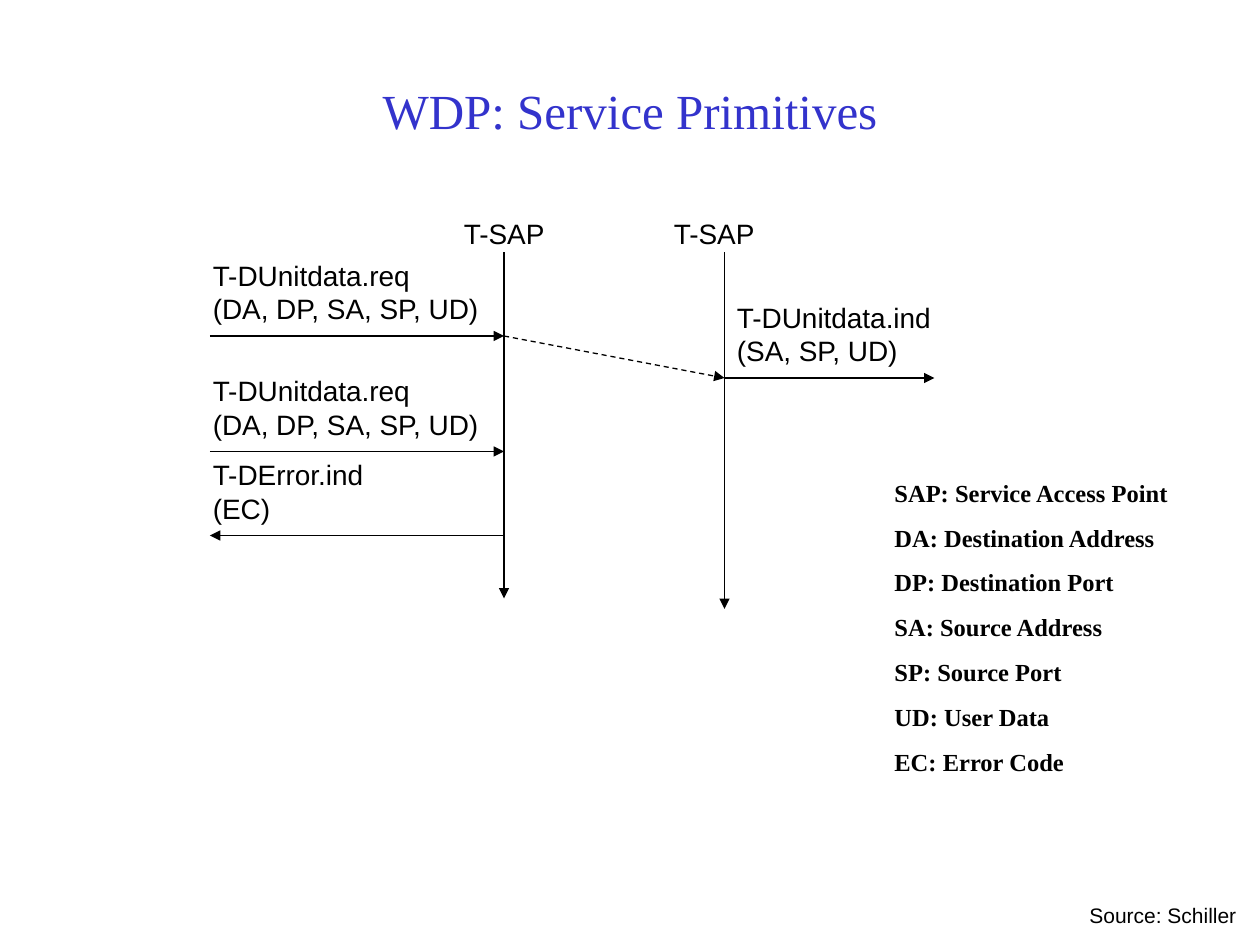
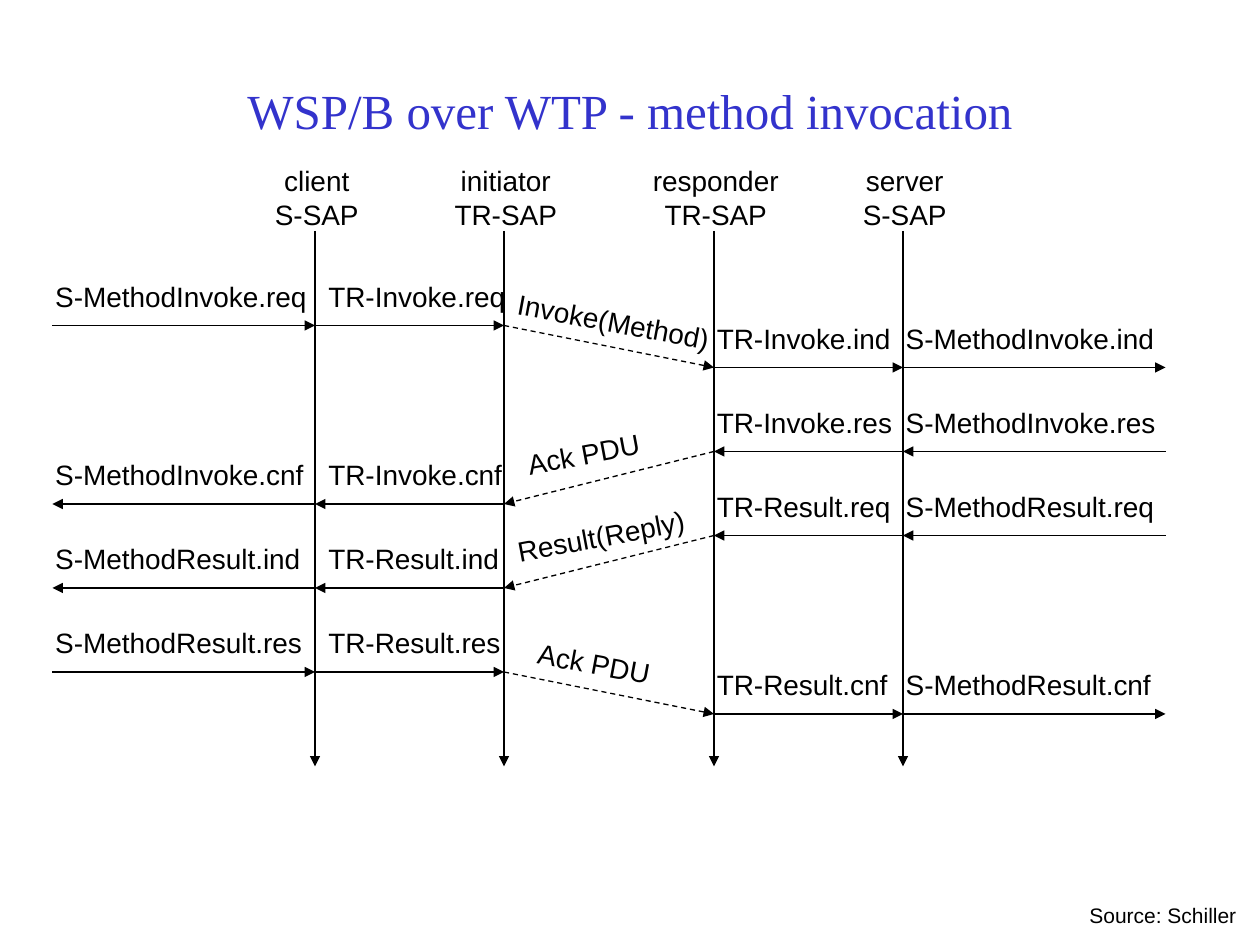
import pptx
import pptx.dml.color
import pptx.enum.dml
import pptx.enum.shapes
import pptx.enum.text
import pptx.oxml
import pptx.oxml.ns
import pptx.util

COLORS = {"title": "3333CC", "ink": "000000"}
TITLE_FONT = "Times New Roman"
LABEL_FONT = "Arial"
LEFT = pptx.enum.text.PP_ALIGN.LEFT
CENTER = pptx.enum.text.PP_ALIGN.CENTER


def add_text(frame, paragraphs, size=16, font=LABEL_FONT, color="ink", bold=False,
             align=LEFT, space_before=0):
    """Fill a text frame; a newline inside a paragraph becomes a line break."""
    frame.word_wrap = True
    for index, text in enumerate(paragraphs):
        paragraph = frame.add_paragraph() if index else frame.paragraphs[0]
        paragraph.alignment = align
        if index and space_before:
            paragraph.space_before = pptx.util.Pt(space_before)
        for line_index, line in enumerate(text.split("\n")):
            if line_index:
                paragraph.add_line_break()
            run = paragraph.add_run()
            run.text = line
            run.font.size = pptx.util.Pt(size)
            run.font.name = font
            run.font.bold = bold
            run.font.color.rgb = pptx.dml.color.RGBColor.from_string(COLORS[color])


def add_arrow(slide, start_x, start_y, end_x, end_y, dashed=False):
    """Draw a thin line with an arrowhead at its end."""
    arrow = slide.shapes.add_connector(
        pptx.enum.shapes.MSO_CONNECTOR.STRAIGHT,
        *[pptx.util.Pt(value) for value in (start_x, start_y, end_x, end_y)])
    arrow.line.width = pptx.util.Pt(0.75)
    arrow.line.color.rgb = pptx.dml.color.RGBColor.from_string(COLORS["ink"])
    if dashed:
        arrow.line.dash_style = pptx.enum.dml.MSO_LINE.DASH
    namespace = pptx.oxml.ns.nsdecls("a")
    arrow.line._get_or_add_ln().append(
        pptx.oxml.parse_xml(f'<a:tailEnd {namespace} type="triangle"/>'))
    arrow._element.spPr.append(pptx.oxml.parse_xml(f"<a:effectLst {namespace}/>"))


presentation = pptx.Presentation()
presentation.slide_width = pptx.util.Pt(720)
presentation.slide_height = pptx.util.Pt(540)

# Shared parts: title and source line
slides = []
for title_text, title_top, title_height in [
        ("WDP: Service Primitives", 30, 66),
        ("WSP/B over WTP - method invocation", 18, 90)]:
    slide = presentation.slides.add_slide(presentation.slide_layouts[5])
    title = slide.shapes.title
    title.left, title.top = pptx.util.Pt(54), pptx.util.Pt(title_top)
    title.width, title.height = pptx.util.Pt(612), pptx.util.Pt(title_height)
    title.text_frame.vertical_anchor = pptx.enum.text.MSO_ANCHOR.MIDDLE
    add_text(title.text_frame, [title_text], 28, TITLE_FONT, "title", align=CENTER)
    source = slide.shapes.add_textbox(
        pptx.util.Pt(615.5), pptx.util.Pt(512), pptx.util.Pt(100), pptx.util.Pt(22))
    add_text(source.text_frame, ["Source: Schiller"], 12)
    slides.append(slide)
primitives_slide, invocation_slide = slides

# Slide 1: lifelines of the two access points
for lifeline_x, lifeline_end, label_left in [(288, 342, 258), (414, 348, 378)]:
    add_arrow(primitives_slide, lifeline_x, 144, lifeline_x, lifeline_end)
    label = primitives_slide.shapes.add_textbox(
        pptx.util.Pt(label_left), pptx.util.Pt(120), pptx.util.Pt(64), pptx.util.Pt(26.5))
    add_text(label.text_frame, ["T-SAP"])

# Slide 1: primitives, each label standing above its arrow
for text, start_x, end_x, arrow_y, label_left in [
        ("T-DUnitdata.req\n(DA, DP, SA, SP, UD)", 120, 288, 192, 114.5),
        ("T-DUnitdata.ind\n(SA, SP, UD)", 414, 534, 216, 414),
        ("T-DUnitdata.req\n(DA, DP, SA, SP, UD)", 120, 288, 258, 114.5),
        ("T-DError.ind\n(EC)", 288, 120, 306, 114.5)]:
    add_arrow(primitives_slide, start_x, arrow_y, end_x, arrow_y)
    label = primitives_slide.shapes.add_textbox(
        pptx.util.Pt(label_left), pptx.util.Pt(arrow_y - 48),
        pptx.util.Pt(178), pptx.util.Pt(46))
    add_text(label.text_frame, [text])
add_arrow(primitives_slide, 288, 192, 414, 216, dashed=True)

# Slide 1: abbreviations
abbreviations = primitives_slide.shapes.add_textbox(
    pptx.util.Pt(504), pptx.util.Pt(269.5), pptx.util.Pt(192), pptx.util.Pt(178))
add_text(abbreviations.text_frame, [
    "SAP: Service Access Point",
    "DA: Destination Address",
    "DP: Destination Port",
    "SA: Source Address",
    "SP: Source Port",
    "UD: User Data",
    "EC: Error Code",
], 14, TITLE_FONT, bold=True, space_before=8.8)

# Slide 2: lifelines
CLIENT, INITIATOR, RESPONDER, SERVER = 180, 288, 408, 516
for lifeline_x, role, access_point in [
        (CLIENT, "client", "S-SAP"), (INITIATOR, "initiator", "TR-SAP"),
        (RESPONDER, "responder", "TR-SAP"), (SERVER, "server", "S-SAP")]:
    add_arrow(invocation_slide, lifeline_x, 132, lifeline_x, 438)
    label = invocation_slide.shapes.add_textbox(
        pptx.util.Pt(lifeline_x - 44), pptx.util.Pt(90), pptx.util.Pt(90), pptx.util.Pt(46))
    add_text(label.text_frame, [role, access_point], align=CENTER)

# Slide 2: primitives, two per row: (left end, right end, label left, label width)
client_side = [(30, CLIENT, 24.5, 160), (CLIENT, INITIATOR, 180.5, 118)]
server_side = [(RESPONDER, SERVER, 402.5, 118), (SERVER, 666, 510.5, 160)]
for side, arrow_y, rightward, texts in [
        (client_side, 186, True, ["S-MethodInvoke.req", "TR-Invoke.req"]),
        (server_side, 210, True, ["TR-Invoke.ind", "S-MethodInvoke.ind"]),
        (server_side, 258, False, ["TR-Invoke.res", "S-MethodInvoke.res"]),
        (client_side, 288, False, ["S-MethodInvoke.cnf", "TR-Invoke.cnf"]),
        (server_side, 306, False, ["TR-Result.req", "S-MethodResult.req"]),
        (client_side, 336, False, ["S-MethodResult.ind", "TR-Result.ind"]),
        (client_side, 384, True, ["S-MethodResult.res", "TR-Result.res"]),
        (server_side, 408, True, ["TR-Result.cnf", "S-MethodResult.cnf"])]:
    for (left_x, right_x, label_left, label_width), text in zip(side, texts):
        start_x, end_x = (left_x, right_x) if rightward else (right_x, left_x)
        add_arrow(invocation_slide, start_x, arrow_y, end_x, arrow_y)
        label = invocation_slide.shapes.add_textbox(
            pptx.util.Pt(label_left), pptx.util.Pt(arrow_y - 30),
            pptx.util.Pt(label_width), pptx.util.Pt(26.5))
        add_text(label.text_frame, [text])

# Slide 2: dashed messages between initiator and responder with slanted labels
for text, start_x, start_y, end_x, end_y, label_left, label_top, label_width in [
        ("Invoke(Method)", INITIATOR, 186, RESPONDER, 210, 288, 170.5, 126),
        ("Ack PDU", RESPONDER, 258, INITIATOR, 288, 294, 246, 80),
        ("Result(Reply)", RESPONDER, 306, INITIATOR, 336, 288, 293, 111),
        ("Ack PDU", INITIATOR, 384, RESPONDER, 408, 300, 366, 80)]:
    add_arrow(invocation_slide, start_x, start_y, end_x, end_y, dashed=True)
    label = invocation_slide.shapes.add_textbox(
        pptx.util.Pt(label_left), pptx.util.Pt(label_top),
        pptx.util.Pt(label_width), pptx.util.Pt(26.5))
    label.rotation = 10.6 if start_x < end_x else -10.6
    add_text(label.text_frame, [text])

presentation.save("out.pptx")
